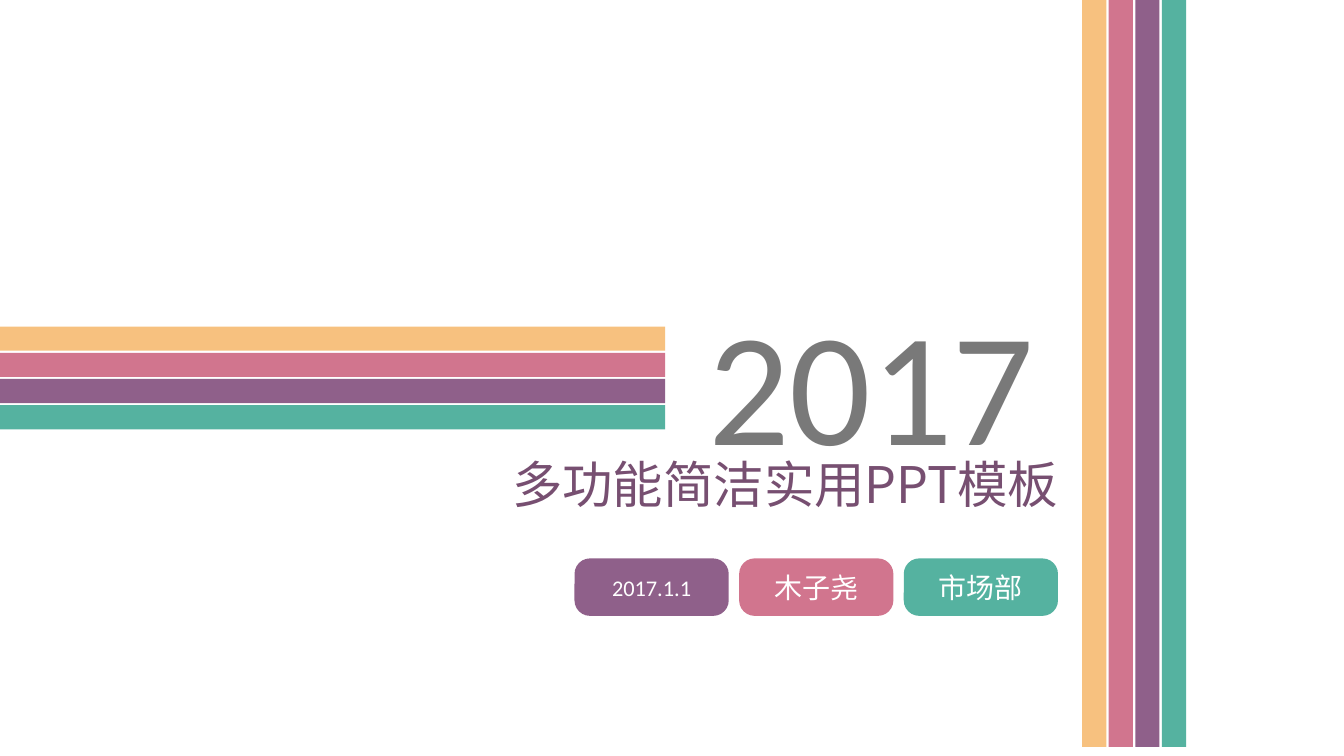
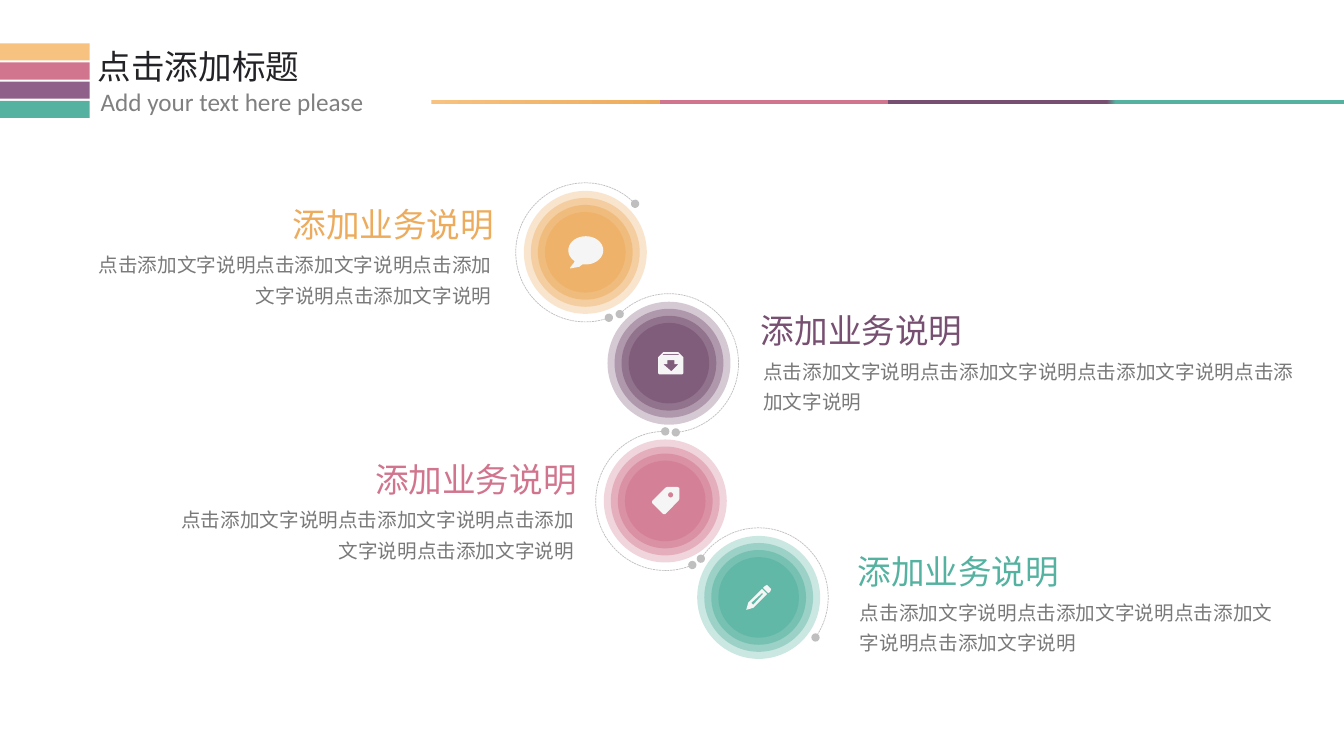
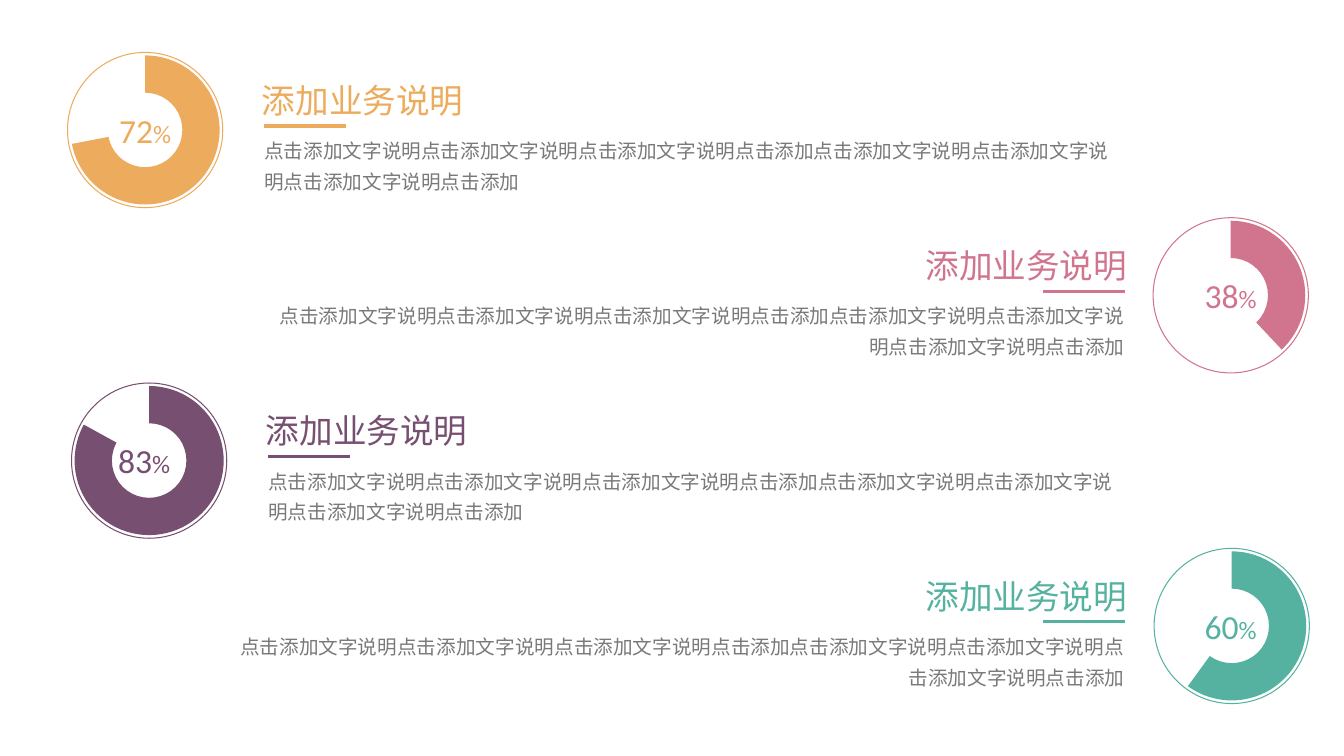
import math
from dataclasses import dataclass

from lxml import etree
from pptx import Presentation, util as u
from pptx.chart.data import CategoryChartData
from pptx.dml.color import RGBColor
from pptx.enum import chart as charts, dml, shapes, text
from pptx.oxml.ns import qn

COLUMNS, ROWS = 40, 22.5          # square cells covering the slide
CELL = 304800                     # one cell in EMU
LEFT, CENTER, RIGHT = text.PP_ALIGN.LEFT, text.PP_ALIGN.CENTER, text.PP_ALIGN.RIGHT
TITLE_LAYOUT, TITLE_ONLY_LAYOUT, BLANK_LAYOUT = 0, 5, 6


@dataclass(frozen=True)
class Theme:
    apricot: str = "F7C17F"
    orange: str = "EDAC5D"
    pink: str = "D1758E"
    violet: str = "8F608A"
    plum: str = "774F71"
    teal: str = "55B2A0"
    white: str = "FFFFFF"
    icon: str = "F5F5F5"
    chart_text: str = "F2F2F2"
    orbit: str = "BFBFBF"
    grey: str = "797979"
    subtitle: str = "808080"
    ink: str = "232226"
    latin: str = "Calibri"
    cjk: str = "Noto Sans CJK SC"
    year_size: int = 115
    cover_size: int = 36
    heading_size: int = 24
    name_size: int = 20
    small_size: int = 18
    date_size: int = 16
    body_size: int = 14
    chart_size: int = 10

    @property
    def stripes(self):
        return self.apricot, self.pink, self.violet, self.teal


T = Theme()


def grid(*cells):
    return [u.Emu(round(c * CELL)) for c in cells]


def centred(cx, cy, width, height):
    return cx - width / 2, cy - height / 2, width, height


def rgb(colour):
    return RGBColor.from_string(colour)


def child(parent, tag, **attributes):
    return etree.SubElement(parent, qn(tag), attributes)


def ellipse_points(cx, cy, rx, ry, start=0, end=360, step=10):
    return [(cx + rx * math.cos(math.radians(a)), cy + ry * math.sin(math.radians(a)))
            for a in range(start, end, step)]


class Deck:
    """Holds the presentation, its style and the slide being built."""

    def __init__(self):
        self.prs = Presentation()
        self.prs.slide_width, self.prs.slide_height = grid(COLUMNS, ROWS)
        self.slide = None

    def new_slide(self, layout):
        self.slide = self.prs.slides.add_slide(self.prs.slide_layouts[layout])

    def set_text(self, frame, runs, align=LEFT, spacing=None, anchor=text.MSO_ANCHOR.TOP):
        """Fill a frame with one paragraph; a run is (words, size, colour, font)."""
        frame.word_wrap = True
        frame.auto_size = text.MSO_AUTO_SIZE.NONE
        frame.vertical_anchor = anchor
        paragraph = frame.paragraphs[0]
        paragraph.alignment = align
        paragraph.space_before = u.Pt(0)
        if spacing:
            paragraph.line_spacing = spacing
        for words, size, colour, font in runs:
            run = paragraph.add_run()
            run.text = words
            run.font.size = u.Pt(size)
            run.font.name = font
            run.font.color.rgb = rgb(colour)
            child(run.font._element, "a:ea", typeface=font)

    def label(self, box, runs, align=LEFT, spacing=None):
        frame = self.slide.shapes.add_textbox(*grid(*box)).text_frame
        self.set_text(frame, runs, align, spacing)

    def placeholder(self, index, box, runs, align=LEFT):
        holder = self.slide.placeholders[index]
        holder.left, holder.top, holder.width, holder.height = grid(*box)
        self.set_text(holder.text_frame, runs, align)

    def shape(self, kind, box, fill=None, alpha=None, line=None, weight=0.75):
        shape = self.slide.shapes.add_shape(kind, *grid(*box))
        self.paint(shape, fill, alpha, line, weight)
        return shape

    def paint(self, shape, fill, alpha=None, line=None, weight=0.75):
        shape.shadow.inherit = False
        if fill:
            shape.fill.solid()
            shape.fill.fore_color.rgb = rgb(fill)
        else:
            shape.fill.background()
        if alpha:
            colour = shape._element.spPr.find(qn("a:solidFill"))[0]
            child(colour, "a:alpha", val=str(alpha * 1000))
        if line:
            shape.line.color.rgb = rgb(line)
            shape.line.width = u.Pt(weight)
        else:
            shape.line.fill.background()

    def stripes(self, box, dx=0, dy=0):
        x, y, width, height = box
        for i, colour in enumerate(T.stripes):
            self.shape(shapes.MSO_SHAPE.RECTANGLE,
                       (x + i * dx, y + i * dy, width, height), colour)

    def pill(self, box, words, size, font, colour):
        pill = self.shape(shapes.MSO_SHAPE.ROUNDED_RECTANGLE, box, colour)
        pill.adjustments[0] = 0.27
        self.set_text(pill.text_frame, [(words, size, T.white, font)], CENTER,
                      anchor=text.MSO_ANCHOR.MIDDLE)

    def gradient_bar(self, box, stops):
        bar = self.shape(shapes.MSO_SHAPE.RECTANGLE, box)
        bar.fill.gradient()
        bar.fill.gradient_angle = 0
        stop_list = bar._element.spPr.find(qn("a:gradFill")).find(qn("a:gsLst"))
        for old in list(stop_list):
            stop_list.remove(old)
        for percent, colour in stops:
            stop = child(stop_list, "a:gs", pos=str(percent * 1000))
            child(stop, "a:srgbClr", val=colour)

    def header(self, title, subtitle):
        self.stripes((0, 1.29, 2.67, 0.51), dy=0.57)
        self.placeholder(0, (2.61, 1.23, 7.08, 1.5),
                         [(title, T.heading_size, T.ink, T.cjk)])
        self.label((2.7, 2.43, 11, 1.2), [(subtitle, T.small_size, T.subtitle, T.latin)])
        self.gradient_bar((12.84, 2.97, 27.16, 0.12), [
            (0, T.apricot), (25, T.orange), (25, T.pink), (50, T.pink),
            (50, T.plum), (74, T.plum), (75, T.teal), (100, T.teal)])

    def entry(self, edge, top, width, drop, colour, heading, body, align):
        """Heading with body `drop` below it, both against the edge named by align."""
        def box(inset, y, w, h):
            x = edge - inset - w if align == RIGHT else edge + inset
            return x, y, w, h

        self.label(box(0, top, 7.5, 1.5),
                   [(heading, T.heading_size, colour, T.cjk)], align)
        self.label(box(0.07, top + drop, width, 2.13),
                   [(body, T.body_size, T.grey, T.latin)], align, 1.3)

    def orbit(self, cx, cy, start, end):
        """Dashed arc, clockwise between two angles in degrees."""
        arc = self.shape(shapes.MSO_SHAPE.ARC, centred(cx, cy, 4.14, 4.14),
                         line=T.orbit, weight=0.5)
        arc.adjustments[0], arc.adjustments[1] = start * 0.6, end * 0.6
        arc.line.dash_style = dml.MSO_LINE.SQUARE_DOT
        for end_tag in ("a:headEnd", "a:tailEnd"):
            child(arc.line._ln, end_tag, type="oval")

    def medallion(self, cx, cy, colour, arc, icon):
        for i in range(4):
            size = 3.66 - 0.42 * i
            self.shape(shapes.MSO_SHAPE.OVAL, centred(cx, cy, size, size),
                       colour, alpha=30 + 10 * i)
        self.orbit(cx, cy, *arc)
        self.icon(cx, cy, icon)

    def icon(self, cx, cy, contours):
        """Draw contours given in hundredths of a cell from the centre."""
        outlines = [[(cx * 1000 + x * 10, cy * 1000 + y * 10) for x, y in contour]
                    for contour in contours]
        builder = self.slide.shapes.build_freeform(*outlines[0][0], scale=CELL / 1000)
        for i, outline in enumerate(outlines):
            if i:
                builder.move_to(*outline[0])
            builder.add_line_segments(outline[1:], close=True)
        self.paint(builder.convert_to_shape(), T.icon)

    def rule(self, x1, x2, y, colour):
        line = self.slide.shapes.add_connector(
            shapes.MSO_CONNECTOR.STRAIGHT, *grid(x1, y, x2, y))
        line.line.color.rgb = rgb(colour)
        line.line.width = u.Pt(2.25)
        child(line._element.spPr, "a:effectLst")

    def gauge(self, cx, cy, percent, colour, shift):
        """Doughnut in a thin ring; shift moves the figure off the centre."""
        width, height, ring = 7.86, 5.25, 4.44
        data = CategoryChartData()
        data.categories = ["1", "2"]
        data.add_series("Series 1", (percent, 100 - percent))
        chart = self.slide.shapes.add_chart(
            charts.XL_CHART_TYPE.DOUGHNUT,
            *grid(*centred(cx, cy, width, height)), data).chart
        chart.has_legend = chart.has_title = False
        chart.font.size = u.Pt(T.chart_size)
        chart.font.name = T.latin
        chart.font.color.rgb = rgb(T.chart_text)
        plot = chart.plots[0]
        plot.vary_by_categories = True
        plot._element.find(qn("c:holeSize")).set("val", "80")
        done, rest = (plot.series[0].points[i].format for i in range(2))
        done.fill.solid()
        done.fill.fore_color.rgb = rgb(colour)
        rest.fill.background()
        for part in (done, rest):
            part.line.fill.background()
        self.place_plot(chart, ring / width, ring / height)

        self.shape(shapes.MSO_SHAPE.OVAL, centred(cx, cy, 4.62, 4.62), line=colour)
        self.label(centred(cx + shift, cy, 2.7, 1.5),
                   [(str(percent), T.heading_size, colour, T.latin),
                    ("%", T.small_size, colour, T.latin)], CENTER)

    def place_plot(self, chart, width, height):
        """Centre the plot area, sized in shares of the chart."""
        area = chart._chartSpace.chart.plotArea
        for old in area.findall(qn("c:layout")):
            area.remove(old)
        layout = etree.Element(qn("c:layout"))
        area.insert(0, layout)
        manual = child(layout, "c:manualLayout")
        for tag, value in (("layoutTarget", "inner"), ("xMode", "edge"), ("yMode", "edge"),
                           ("x", (1 - width) / 2), ("y", (1 - height) / 2),
                           ("w", width), ("h", height)):
            child(manual, "c:" + tag, val=str(value))


HEADING = "添加业务说明"
PHRASE = "点击添加文字说明"
LONG_BODY = (PHRASE * 3 + "点击添加") * 2

BUBBLE = [ellipse_points(1.5, -6, 52, 42, 130, 461)
          + [(-18, 43), (-45, 48), (-45, 45), (-33, 30)]]
INBOX = [[(28, -33), (-17, -33), (-32, -18), (-32, 30), (-29, 33), (40, 33), (43, 30), (43, -18)],
         [(7, 24), (-17, 3), (-5, 3), (-5, -9), (16, -9), (16, 3), (28, 3)],
         [(-20, -24), (-17, -27), (28, -27), (31, -24)]]
TAG = [[(36, -42), (6, -42), (0, -39), (-39, 0), (-39, 6), (-6, 39), (0, 39), (39, 0),
        (42, -6), (42, -39)],
       ellipse_points(16, -18, 8, 8, step=30)]
PENCIL = [[(25, -37), (37, -25), (34, -16), (28, -13), (13, -28), (19, -34)],
          [(-31, 16), (-37, 37), (-16, 31), (25, -10), (10, -25)],
          [(13, -10), (-16, 22), (-22, 16), (10, -13)]]


def cover(deck):
    deck.new_slide(TITLE_LAYOUT)
    deck.placeholder(1, (19.05, 8.31, 13.77, 6.12),
                     [("2017", T.year_size, T.grey, T.latin)], CENTER)
    deck.stripes((0, 9.72, 19.8, 0.72), dy=0.78)
    deck.placeholder(0, (13.92, 13.32, 17.88, 2.13),
                     [("多功能简洁实用PPT模板", T.cover_size, T.plum, T.cjk)], RIGHT)
    deck.stripes((32.21, 0, 0.72, 22.23), dx=0.79)
    facts = [("2017.1.1", T.date_size, T.latin, T.violet),
             ("木子尧", T.name_size, T.cjk, T.pink),
             ("市场部", T.name_size, T.cjk, T.teal)]
    for i, fact in enumerate(facts):
        deck.pill((17.1 + 4.9 * i, 16.62, 4.59, 1.71), *fact)


def services(deck):
    deck.new_slide(TITLE_ONLY_LAYOUT)
    deck.header("点击添加标题", "Add your text here please")
    steps = [  # centre, colour, orbit angles, icon, text edge, top, width, side
        (17.42, 7.51, T.orange, (70.2, 315.7), BUBBLE, 15, 5.91, 12.87, RIGHT),
        (19.91, 10.81, T.plum, (224.9, 84.4), INBOX, 22.35, 9.09, 16.41, LEFT),
        (19.8, 14.91, T.pink, (67.1, 270), TAG, 17.46, 13.5, 12.87, RIGHT),
        (22.58, 17.78, T.teal, (213.8, 35.2), PENCIL, 25.23, 16.26, 13.2, LEFT)]
    for cx, cy, colour, arc, icon, edge, top, width, side in steps:
        deck.medallion(cx, cy, colour, arc, icon)
        deck.entry(edge, top, width, 1.26, colour, HEADING, PHRASE * 4, side)


def shares(deck):
    deck.new_slide(BLANK_LAYOUT)
    gauges = [  # percent, colour, ring centre, figure shift, text edge, width, side
        (72, T.orange, 4.32, 0, 7.5, 25.89, LEFT),
        (38, T.pink, 36.63, 0, 33.84, 26.25, RIGHT),
        (83, T.plum, 4.44, -0.15, 7.62, 25.77, LEFT),
        (60, T.teal, 36.66, -0.03, 33.84, 27.12, RIGHT)]
    for i, (percent, colour, cx, shift, edge, width, side) in enumerate(gauges):
        cy = 3.87 + 4.92 * i
        deck.gauge(cx, cy, percent, colour, shift)
        deck.entry(edge, cy - 1.65, width, 1.56, colour, HEADING, LONG_BODY, side)
        inward = -1 if side == RIGHT else 1
        deck.rule(edge + 0.37 * inward, edge + 2.8 * inward, cy - 0.12, colour)


def main():
    deck = Deck()
    for build in (cover, services, shares):
        build(deck)
    deck.prs.save("out.pptx")


if __name__ == "__main__":
    main()
